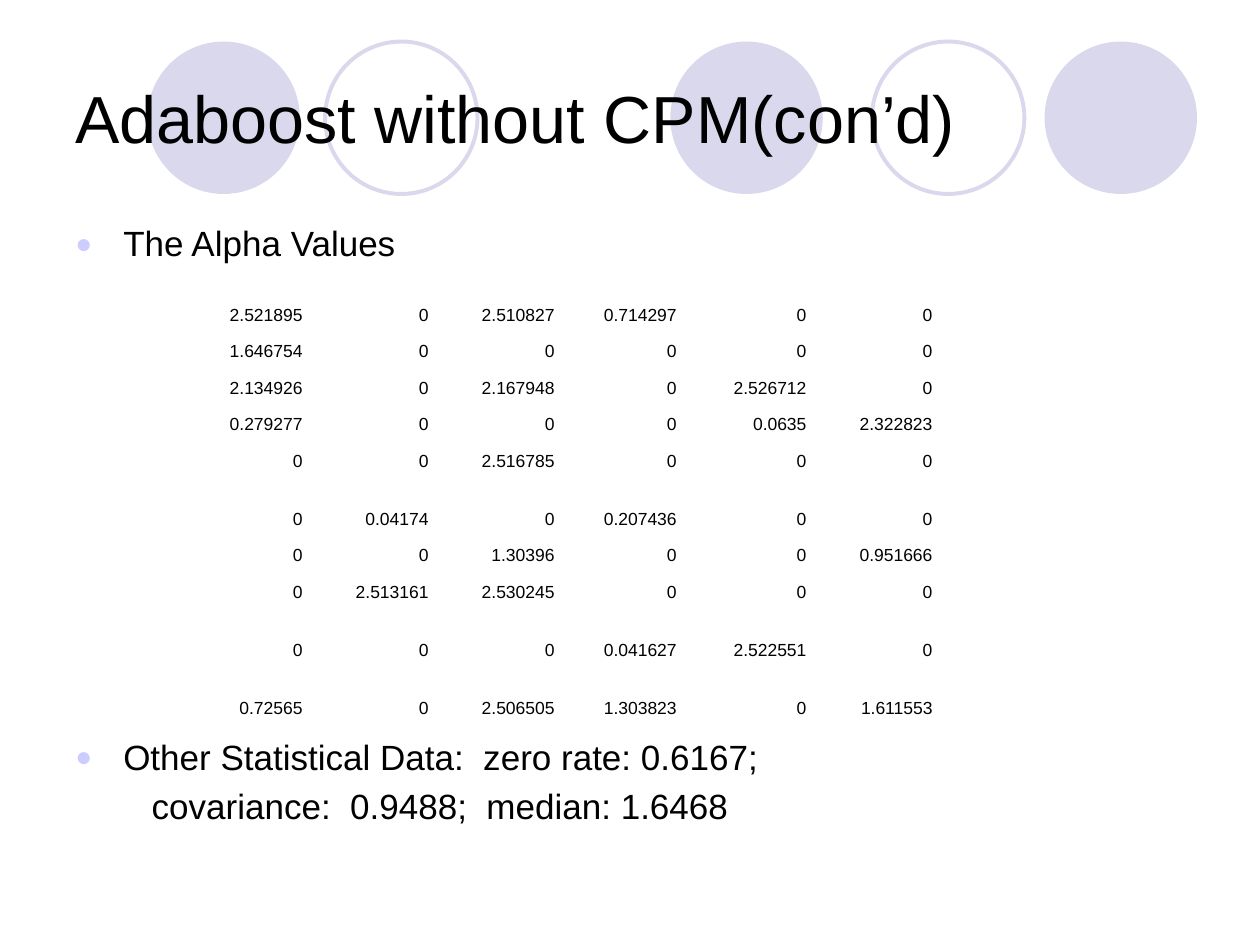
from lxml import etree
from pptx import Presentation
from pptx import util as u
from pptx.dml.color import RGBColor
from pptx.enum import shapes, text
from pptx.oxml.ns import qn

WIDTH, HEIGHT = u.Inches(10), u.Inches(7.5)
COLUMN, ROW = WIDTH / 20, HEIGHT / 30
BLACK = RGBColor(0x00, 0x00, 0x00)
LAVENDER = RGBColor(0xD9, 0xD8, 0xEC)
PERIWINKLE = RGBColor(0xCC, 0xCC, 0xFF)
FONT = "Arial"
PLAIN_TABLE = "{2D5ABB26-0587-4C30-8999-92F81FD0307C}"

DISC_COLUMNS = (10.64, 16.58, 2.34)
RING_COLUMNS = (13.84, 5.16)
TABLE_COLUMNS = (2, 2, 2, 1.94, 2.06, 2)
TALL_ROWS = (0, 5, 8, 9)
ALPHAS = (
    ("2.521895", "0", "2.510827", "0.714297", "0", "0"),
    ("1.646754", "0", "0", "0", "0", "0"),
    ("2.134926", "0", "2.167948", "0", "2.526712", "0"),
    ("0.279277", "0", "0", "0", "0.0635", "2.322823"),
    ("0", "0", "2.516785", "0", "0", "0"),
    ("0", "0.04174", "0", "0.207436", "0", "0"),
    ("0", "0", "1.30396", "0", "0", "0.951666"),
    ("0", "2.513161", "2.530245", "0", "0", "0"),
    ("0", "0", "0", "0.041627", "2.522551", "0"),
    ("0.72565", "0", "2.506505", "1.303823", "0", "1.611553"),
)


def columns(count):
    return u.Emu(round(count * COLUMN))


def rows(count):
    return u.Emu(round(count * ROW))


def area(left, top, width, height):
    return columns(left), rows(top), columns(width), rows(height)


def style(paragraph, size):
    for run in paragraph.runs:
        run.font.size = u.Pt(size)
        run.font.name = FONT
        run.font.color.rgb = BLACK


def add_circle(slide, column, filled):
    circle = slide.shapes.add_shape(
        shapes.MSO_SHAPE.OVAL, *area(column, 1.32, 2.42, 4.84))
    circle.shadow.inherit = False
    if filled:
        circle.fill.solid()
        circle.fill.fore_color.rgb = LAVENDER
        circle.line.fill.background()
    else:
        circle.fill.background()
        circle.line.color.rgb = LAVENDER
        circle.line.width = u.Pt(2.25)


def add_text_frame(slide, place):
    frame = slide.shapes.add_textbox(*place).text_frame
    frame.word_wrap = True
    return frame


def add_title(slide, wording):
    frame = add_text_frame(slide, area(1, 1.2, 18, 5))
    frame.vertical_anchor = text.MSO_ANCHOR.MIDDLE
    frame.text = wording
    style(frame.paragraphs[0], 38)


def indent(paragraph, left, first):
    properties = paragraph._p.get_or_add_pPr()
    properties.set("marL", str(columns(left)))
    properties.set("indent", str(columns(first)))
    return properties


def add_bullet(paragraph):
    properties = indent(paragraph, 0.76, -0.76)
    color = etree.SubElement(properties, qn("a:buClr"))
    etree.SubElement(color, qn("a:srgbClr"), val=str(PERIWINKLE))
    etree.SubElement(properties, qn("a:buSzPct"), val="80000")
    etree.SubElement(properties, qn("a:buFont"), typeface=FONT)
    etree.SubElement(properties, qn("a:buChar"), char="●")


def add_statistics(slide):
    frame = add_text_frame(slide, area(1, 7, 17.84, 19.8))
    lines = (
        ("The Alpha Values", True, None),
        ("Other Statistical Data:  zero rate: 0.6167;", True, 272),
        ("covariance:  0.9488;  median: 1.6468", False, 6),
    )
    for number, (wording, bulleted, gap) in enumerate(lines):
        line = frame.add_paragraph() if number else frame.paragraphs[0]
        line.text = wording
        line.line_spacing = 0.9
        if gap:
            line.space_before = u.Pt(gap)
        if bulleted:
            add_bullet(line)
        else:
            indent(line, 1.21, 0)
        style(line, 20)


def add_alpha_table(slide):
    heights = [1.84 if n in TALL_ROWS else 1.16 for n in range(len(ALPHAS))]
    place = area(3, 8.68, sum(TABLE_COLUMNS), sum(heights))
    table = slide.shapes.add_table(
        len(ALPHAS), len(TABLE_COLUMNS), *place).table
    table.first_row = table.horz_banding = False
    table._tbl.tblPr.find(qn("a:tableStyleId")).text = PLAIN_TABLE
    for column, width in zip(table.columns, TABLE_COLUMNS):
        column.width = columns(width)
    for row, height, alphas in zip(table.rows, heights, ALPHAS):
        row.height = rows(height)
        for cell, alpha in zip(row.cells, alphas):
            cell.fill.background()
            cell.vertical_anchor = text.MSO_ANCHOR.BOTTOM
            cell.text_frame.text = alpha
            value = cell.text_frame.paragraphs[0]
            value.alignment = text.PP_ALIGN.RIGHT
            style(value, 10)


def main():
    deck = Presentation()
    deck.slide_width, deck.slide_height = WIDTH, HEIGHT
    slide = deck.slides.add_slide(deck.slide_layouts[6])
    for column in DISC_COLUMNS:
        add_circle(slide, column, True)
    for column in RING_COLUMNS:
        add_circle(slide, column, False)
    add_title(slide, "Adaboost without CPM(con’d)")
    add_statistics(slide)
    add_alpha_table(slide)
    deck.save("out.pptx")


if __name__ == "__main__":
    main()
